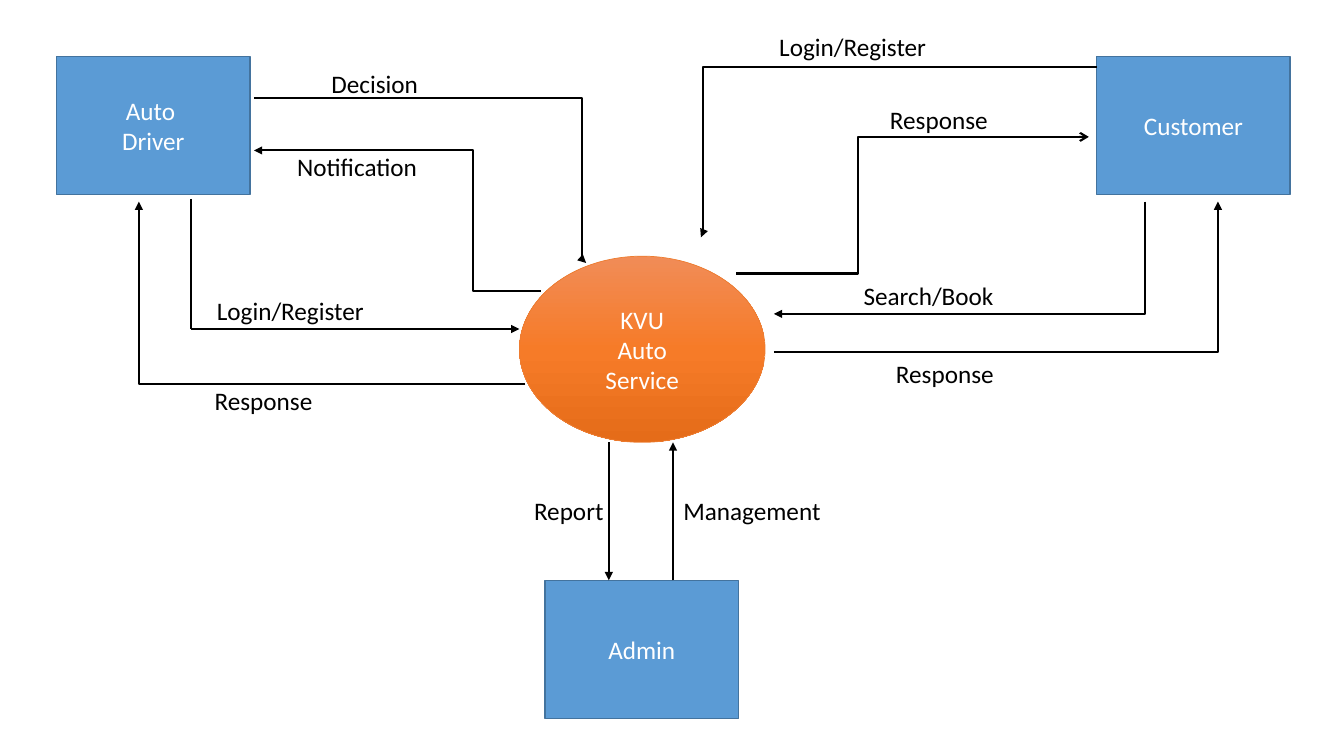
from copy import deepcopy

from lxml.etree import SubElement
from pptx import Presentation
from pptx.dml.color import RGBColor
from pptx.enum.shapes import MSO_CONNECTOR as LINK, MSO_SHAPE as SHAPE
from pptx.enum.text import MSO_ANCHOR as ANCHOR, MSO_AUTO_SIZE as AUTO_SIZE, PP_ALIGN as ALIGN
from pptx.oxml.ns import qn
from pptx.util import Pt


def color(hex_code):
    """Turn a hex string into a colour."""
    return RGBColor.from_string(hex_code)


def write(frame, text, ink="000000", align=ALIGN.LEFT, anchor=ANCHOR.TOP, size=18, font="Calibri"):
    """Put text into a frame, one paragraph a line, and format it."""
    frame.text = text
    frame.vertical_anchor = anchor
    for para in frame.paragraphs:
        para.alignment = align
        for span in para.runs:
            span.font.size = Pt(size)
            span.font.name = font
            span.font.color.rgb = color(ink)


deck = Presentation()
deck.slide_width, deck.slide_height = Pt(960), Pt(540)
page = deck.slides.add_slide(deck.slide_layouts[6])

# The service in the middle and the three actors around it
ENTITY_SIZE = (138.2, 98.7)
nodes = [
    ("KVU\nAuto\nService", SHAPE.OVAL, 371, 183, 175.5, 133),
    ("Auto \nDriver", SHAPE.RECTANGLE, 40.4, 40.4, *ENTITY_SIZE),
    ("Admin", SHAPE.RECTANGLE, 389.3, 414.5, *ENTITY_SIZE),
    ("Customer", SHAPE.RECTANGLE, 783.4, 40.4, *ENTITY_SIZE),
]
for text, kind, *place in nodes:
    node = page.shapes.add_shape(kind, *map(Pt, place))
    node.shadow.inherit = False
    if kind == SHAPE.OVAL:
        node.fill.gradient()
        node.fill.gradient_angle = 270
        first_stop = node.fill._fill._gradFill.gsLst[0]
        first_stop.addnext(deepcopy(first_stop))
        shades = [(0, "F18C57"), (0.5, "F67B28"), (1, "E56C19")]
        for stop, (position, shade) in zip(node.fill.gradient_stops, shades):
            stop.position = position
            stop.color.rgb = color(shade)
        node.line.color.rgb = color("ED7D31")
        node.line.width = Pt(0.5)
    else:
        node.fill.solid()
        node.fill.fore_color.rgb = color("5B9BD5")
        node.line.color.rgb = color("43739E")
        node.line.width = Pt(1)
    write(node.text_frame, text, ink="FFFFFF", align=ALIGN.CENTER, anchor=ANCHOR.MIDDLE)

# Flows: start, end, share of the width at which the line bends, arrowhead
flows = [
    ((136.3, 142), (136.3, 235), None, None),             # driver login, down
    ((136.3, 235), (371, 235), None, "triangle"),         # driver login, across
    ((783.4, 47.8), (500.7, 169.5), 0.994, "triangle"),   # customer login
    ((375.2, 274.3), (99.2, 144), 1, "triangle"),         # response to driver
    ((818, 144), (552.8, 224.2), 0, "triangle"),          # search and book
    ((552.8, 251.4), (870, 144), 1, "triangle"),          # search response
    ((386.2, 207.6), (181.4, 107.5), 0.237, "triangle"),  # notification
    ((181.4, 70.2), (418.7, 187.8), 0.987, "triangle"),   # decision
    ((480.7, 414.5), (480.7, 316), None, "triangle"),     # management
    ((434.9, 316), (434.9, 414.5), None, "triangle"),     # report
    ((525.8, 195.4), (777.8, 97.8), 0.345, "arrow"),      # login response
]
for start, end, bend, head in flows:
    kind = LINK.STRAIGHT if bend is None else LINK.ELBOW
    flow = page.shapes.add_connector(kind, *map(Pt, start + end))
    flow.line.color.rgb = color("000000")
    flow.line.width = Pt(1.5)
    properties = flow._element.spPr
    if bend is not None:
        guides = properties.find(qn("a:prstGeom")).get_or_add_avLst()
        SubElement(guides, qn("a:gd"), name="adj1", fmla=f"val {round(bend * 100000)}")
    if head:
        SubElement(properties.find(qn("a:ln")), qn("a:tailEnd"), type=head)
    SubElement(properties, qn("a:effectLst"))

# Flow names: left, top, width
labels = [
    ("Login/Register", 147.8, 207.4, 121),
    ("Login/Register", 549.5, 18.7, 121),
    ("Response", 146.2, 271.4, 85),
    ("Response", 628.6, 70.6, 85),
    ("Search/Book", 609.8, 196.6, 108),
    ("Response", 632.9, 252.7, 85),
    ("Notification", 205.2, 104.4, 101.5),
    ("Decision", 229.7, 45.4, 77),
    ("Management", 481, 350.6, 113.8),
    ("Report", 374.4, 350.6, 64.8),
]
for text, left, top, width in labels:
    box = page.shapes.add_textbox(Pt(left), Pt(top), Pt(width), Pt(29))
    box.text_frame.word_wrap = False
    box.text_frame.auto_size = AUTO_SIZE.SHAPE_TO_FIT_TEXT
    write(box.text_frame, text)

deck.save("out.pptx")
